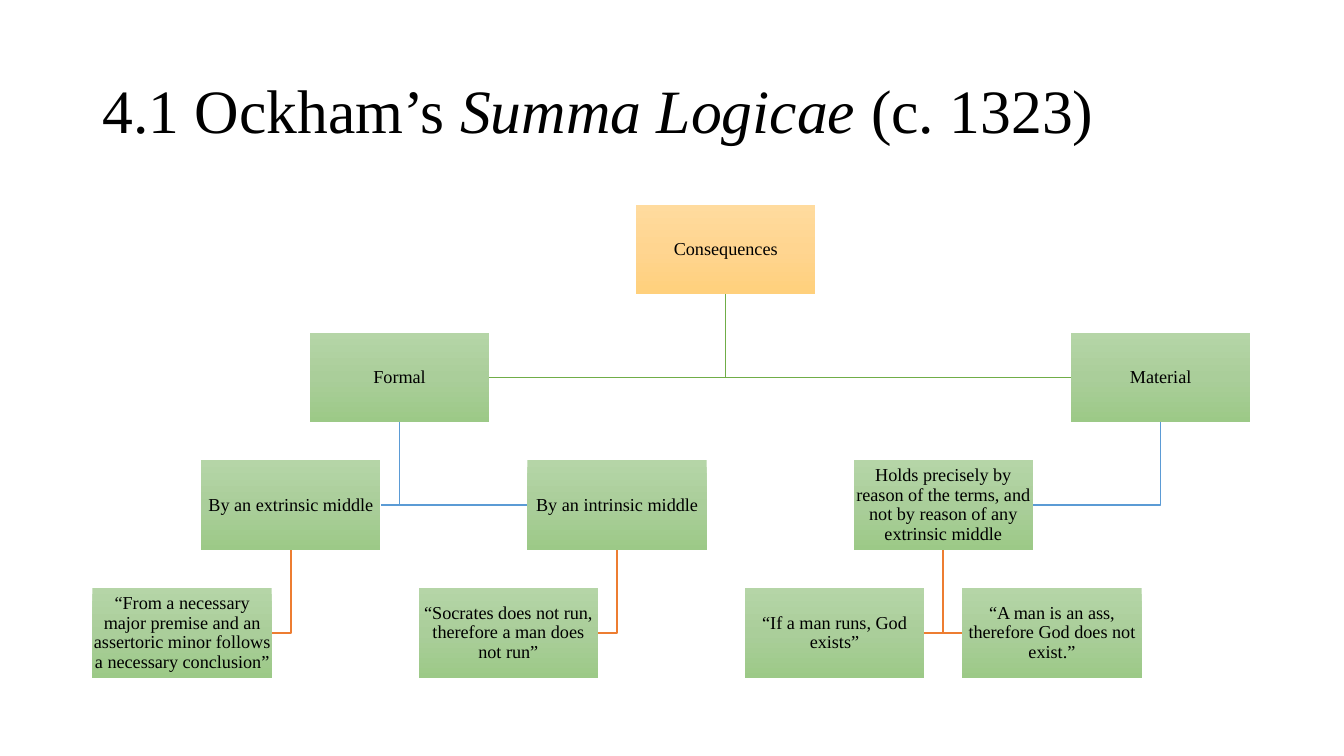
from copy import deepcopy
from dataclasses import dataclass

from pptx import Presentation
from pptx.dml.color import RGBColor as Rgb
from pptx.enum.shapes import MSO_SHAPE as Preset
from pptx.enum.text import MSO_ANCHOR as Anchor, PP_ALIGN as Align
from pptx.oxml.ns import qn
from pptx.util import Cm, Pt


@dataclass(frozen=True)
class Theme:
    """Colours, font and type sizes of the slide."""
    font: str = "Times New Roman"
    ink: str = "000000"
    title_size: int = 44
    box_size: int = 13
    root_fill: tuple = ("FFDB9E", "FFD590", "FFD07C")
    branch_fill: tuple = ("B5D5A7", "AACE9A", "9CC987")
    link_colors: tuple = ("70AD47", "5B9BD5", "ED7D31")
    link_width: float = 1


@dataclass(frozen=True)
class Term:
    """A term of the division, its column and its subdivisions."""
    text: str
    column: int
    branches: tuple = ()


THEME = Theme()
BOX_WIDTH, BOX_HEIGHT = Cm(4.52), Cm(2.26)
COLUMN_PITCH, ROW_PITCH = Cm(2.74), Cm(3.22)

TITLE = (("4.1 Ockham’s ", False), ("Summa Logicae", True), (" (c. 1323)", False))
CONSEQUENCES = Term("Consequences", 5, (
    Term("Formal", 2, (
        Term("By an extrinsic middle", 1, (
            Term("“From a necessary major premise and an assertoric minor "
                 "follows a necessary conclusion”", 0),)),
        Term("By an intrinsic middle", 4, (
            Term("“Socrates does not run, therefore a man does not run”", 3),)))),
    Term("Material", 9, (
        Term("Holds precisely by reason of the terms, and not by reason "
             "of any extrinsic middle", 7, (
                 Term("“If a man runs, God exists”", 6),
                 Term("“A man is an ass, therefore God does not exist.”", 8))),))))


def write(frame, runs, size, align=Align.LEFT, inset_x=Cm(0.25), inset_y=Cm(0.13)):
    """Fill a text frame with one paragraph of (text, italic) runs."""
    frame.word_wrap = True
    frame.vertical_anchor = Anchor.MIDDLE
    frame.margin_left = frame.margin_right = inset_x
    frame.margin_top = frame.margin_bottom = inset_y
    paragraph = frame.paragraphs[0]
    paragraph.alignment = align
    paragraph.line_spacing = 0.9
    for text, italic in runs:
        run = paragraph.add_run()
        run.text = text
        run.font.name = THEME.font
        run.font.size = Pt(size)
        run.font.italic = italic
        run.font.color.rgb = Rgb.from_string(THEME.ink)


def shade(shape, colors):
    """Give a shape an even gradient from top to bottom."""
    shape.fill.gradient()
    shape.fill.gradient_angle = 270
    stop_list = next(shape.element.spPr.iter(qn("a:gsLst")))
    stop_list.insert(1, deepcopy(stop_list[0]))
    for index, (stop, color) in enumerate(zip(shape.fill.gradient_stops, colors)):
        stop.position = index / (len(colors) - 1)
        stop.color.rgb = Rgb.from_string(color)


def add_title(slide, left, top, width, height):
    """Place the slide title in the given box."""
    title = slide.shapes.add_textbox(left, top, width, height)
    write(title.text_frame, TITLE, THEME.title_size)


def add_link(slide, start, end, color):
    """Draw an elbow going down from start, then across to end."""
    builder = slide.shapes.build_freeform(*start)
    builder.add_line_segments([(start[0], end[1]), end], close=False)
    link = builder.convert_to_shape()
    link.shadow.inherit = False
    link.fill.background()
    link.line.color.rgb = Rgb.from_string(color)
    link.line.width = Pt(THEME.link_width)


def add_box(slide, term, left, top, colors):
    """Place one term in its shaded box."""
    box = slide.shapes.add_shape(Preset.RECTANGLE, left, top, BOX_WIDTH, BOX_HEIGHT)
    box.shadow.inherit = False
    box.line.fill.background()
    shade(box, colors)
    write(box.text_frame, [(term.text, False)], THEME.box_size, Align.CENTER,
          inset_x=Cm(0.03), inset_y=Cm(0.03))


def add_tree(slide, term, left, top, level=0):
    """Draw a term with all below it, in the grid that starts at left and top."""
    x, y = left + term.column * COLUMN_PITCH, top + level * ROW_PITCH
    middle = x + BOX_WIDTH // 2
    for branch in term.branches:
        branch_x = left + branch.column * COLUMN_PITCH
        near_side = branch_x if branch.column > term.column else branch_x + BOX_WIDTH
        add_link(slide, (middle, y + BOX_HEIGHT),
                 (near_side, y + ROW_PITCH + BOX_HEIGHT // 2),
                 THEME.link_colors[level])
        add_tree(slide, branch, left, top, level + 1)
    add_box(slide, term, x, y, THEME.branch_fill if level else THEME.root_fill)


def main():
    """Build the slide and save it."""
    deck = Presentation()
    deck.slide_width, deck.slide_height = Cm(33.87), Cm(19.05)
    slide = deck.slides.add_slide(deck.slide_layouts[6])
    add_title(slide, Cm(2.33), Cm(1.01), Cm(29.21), Cm(3.68))
    add_tree(slide, CONSEQUENCES, Cm(2.33), Cm(5.16))
    deck.save("out.pptx")


if __name__ == "__main__":
    main()
